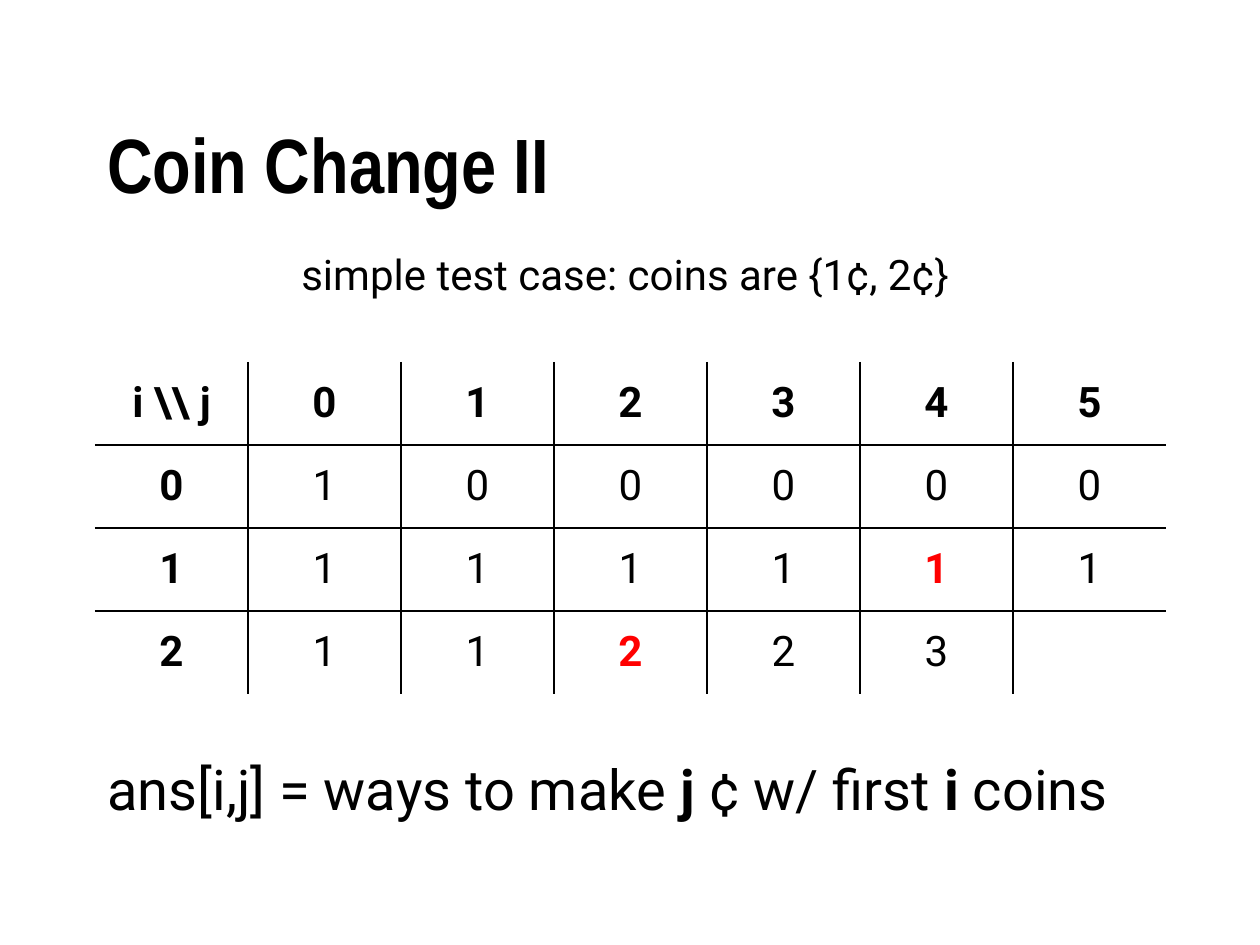
from lxml.etree import SubElement
from pptx import Presentation
from pptx.dml.color import RGBColor
from pptx.enum.text import MSO_ANCHOR, PP_ALIGN
from pptx.oxml.ns import qn
from pptx.util import Emu, Pt

PX = 914400 / 126
BLACK = RGBColor(0x00, 0x00, 0x00)
RED = RGBColor(0xFF, 0x00, 0x00)


def add_runs(paragraph, runs, **font_format):
    """Add (text, bold, colour) runs that share the given font values."""
    for text, bold, colour in runs:
        run = paragraph.add_run()
        run.text = text
        for name, value in {**font_format, "bold": bold}.items():
            setattr(run.font, name, value)
        run.font.color.rgb = colour


def add_border(cell, side, visible):
    line = SubElement(cell._tc.get_or_add_tcPr(), qn(f"a:ln{side}"), w=str(Pt(1)))
    if visible:
        fill = SubElement(line, qn("a:solidFill"))
        SubElement(fill, qn("a:srgbClr"), val=str(BLACK))
    else:
        SubElement(line, qn("a:noFill"))


presentation = Presentation()
presentation.slide_width = Emu(round(1260 * PX))
presentation.slide_height = Emu(round(945 * PX))
slide = presentation.slides.add_slide(presentation.slide_layouts[6])

# Title, subtitle and the definition below the table
text_boxes = [
    ((95, 84, 1071, 158), [("Coin Change II", True, BLACK)],
     {"name": "Arial Narrow", "size": Pt(44)},
     {"word_wrap": True, "vertical_anchor": MSO_ANCHOR.MIDDLE}),
    ((289, 242, 683, 63), [("simple test case: coins are {1¢, 2¢}", False, BLACK)],
     {"name": "Roboto", "size": Pt(24)},
     {"word_wrap": False, "vertical_anchor": MSO_ANCHOR.TOP}),
    ((95, 748, 1071, 78),
     [("ans[i,j] = ways to make ", False, BLACK), ("j", True, BLACK),
      (" ¢ w/ first ", False, BLACK), ("i ", True, BLACK), ("coins", False, BLACK)],
     {"name": "Roboto", "size": Pt(32)},
     {"word_wrap": True, "vertical_anchor": MSO_ANCHOR.TOP}),
]
for box, runs, font_format, frame_format in text_boxes:
    shape = slide.shapes.add_textbox(*(Emu(round(length * PX)) for length in box))
    for name, value in frame_format.items():
        setattr(shape.text_frame, name, value)
    add_runs(shape.text_frame.paragraphs[0], runs, **font_format)

# Table of answers: header row and column are bold, highlights are red
answers = [
    ["i \\\\ j", "0", "1", "2", "3", "4", "5"],
    ["0", "1", "0", "0", "0", "0", "0"],
    ["1", "1", "1", "1", "1", "1", "1"],
    ["2", "1", "1", "2", "2", "3", ""],
]
highlights = {(2, 5), (3, 3)}
row_count, column_count = len(answers), len(answers[0])
table_box = (95, 362, 153 * column_count, 83 * row_count)
table = slide.shapes.add_table(
    row_count, column_count, *(Emu(round(length * PX)) for length in table_box)).table
table.first_row = False
table.horz_banding = False

for row, values in enumerate(answers):
    for column, text in enumerate(values):
        cell = table.cell(row, column)
        cell.vertical_anchor = MSO_ANCHOR.MIDDLE
        inner_sides = {"L": column > 0, "R": column < column_count - 1,
                       "T": row > 0, "B": row < row_count - 1}
        for side, visible in inner_sides.items():
            add_border(cell, side, visible)
        cell.fill.background()
        paragraph = cell.text_frame.paragraphs[0]
        paragraph.alignment = PP_ALIGN.CENTER
        if text:
            highlighted = (row, column) in highlights
            bold = row == 0 or column == 0 or highlighted
            add_runs(paragraph, [(text, bold, RED if highlighted else BLACK)],
                     name="Roboto", size=Pt(24))

presentation.save("out.pptx")
